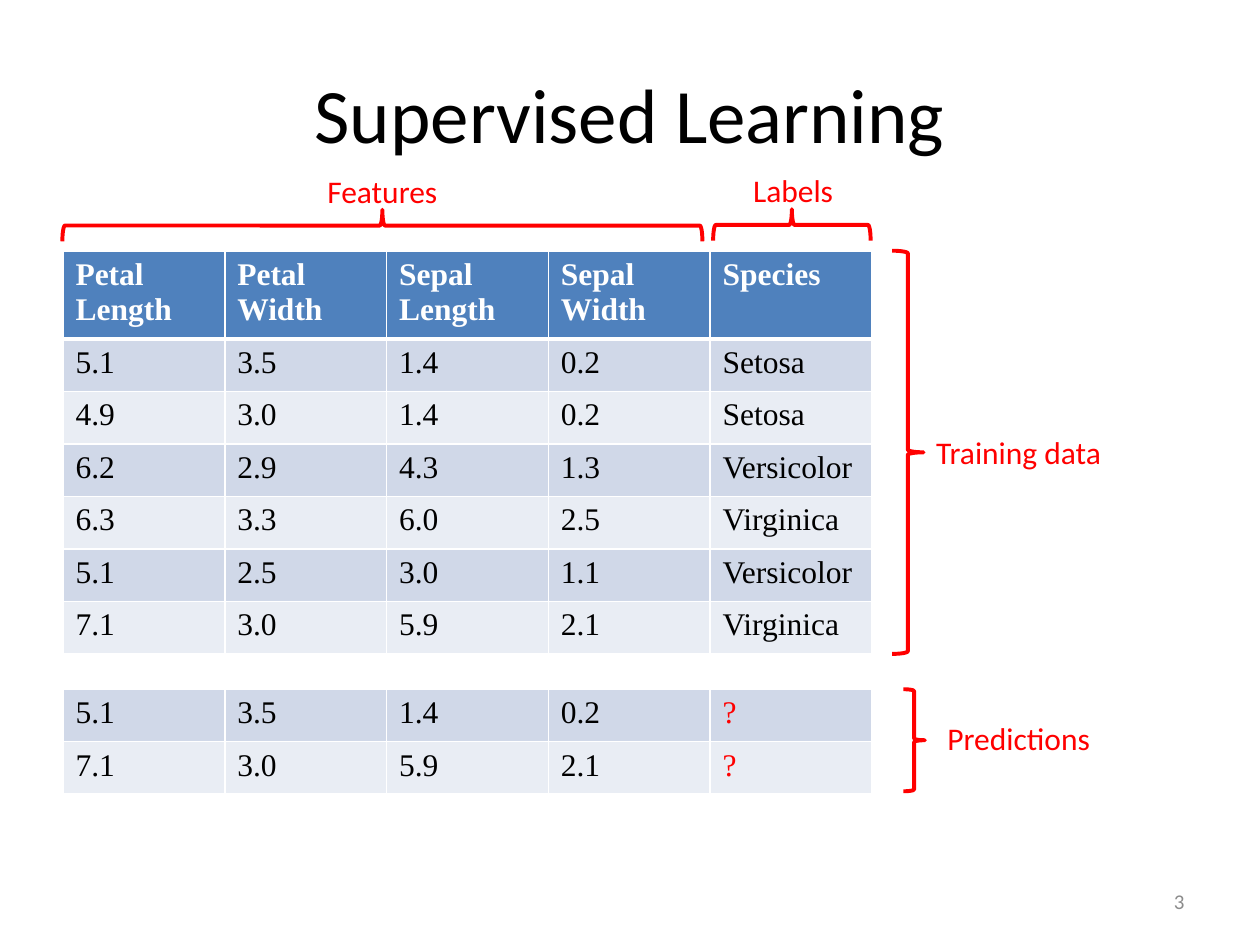
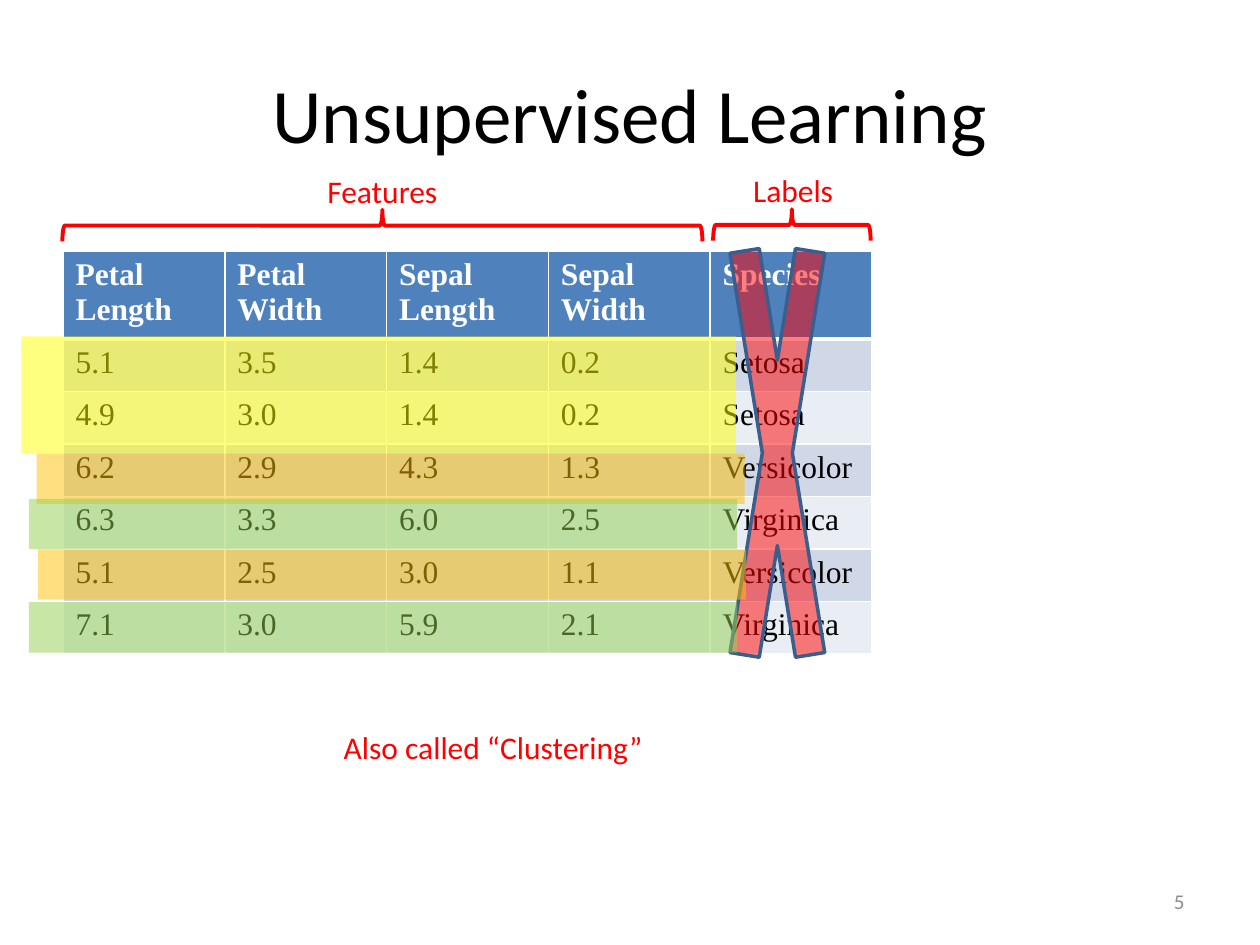
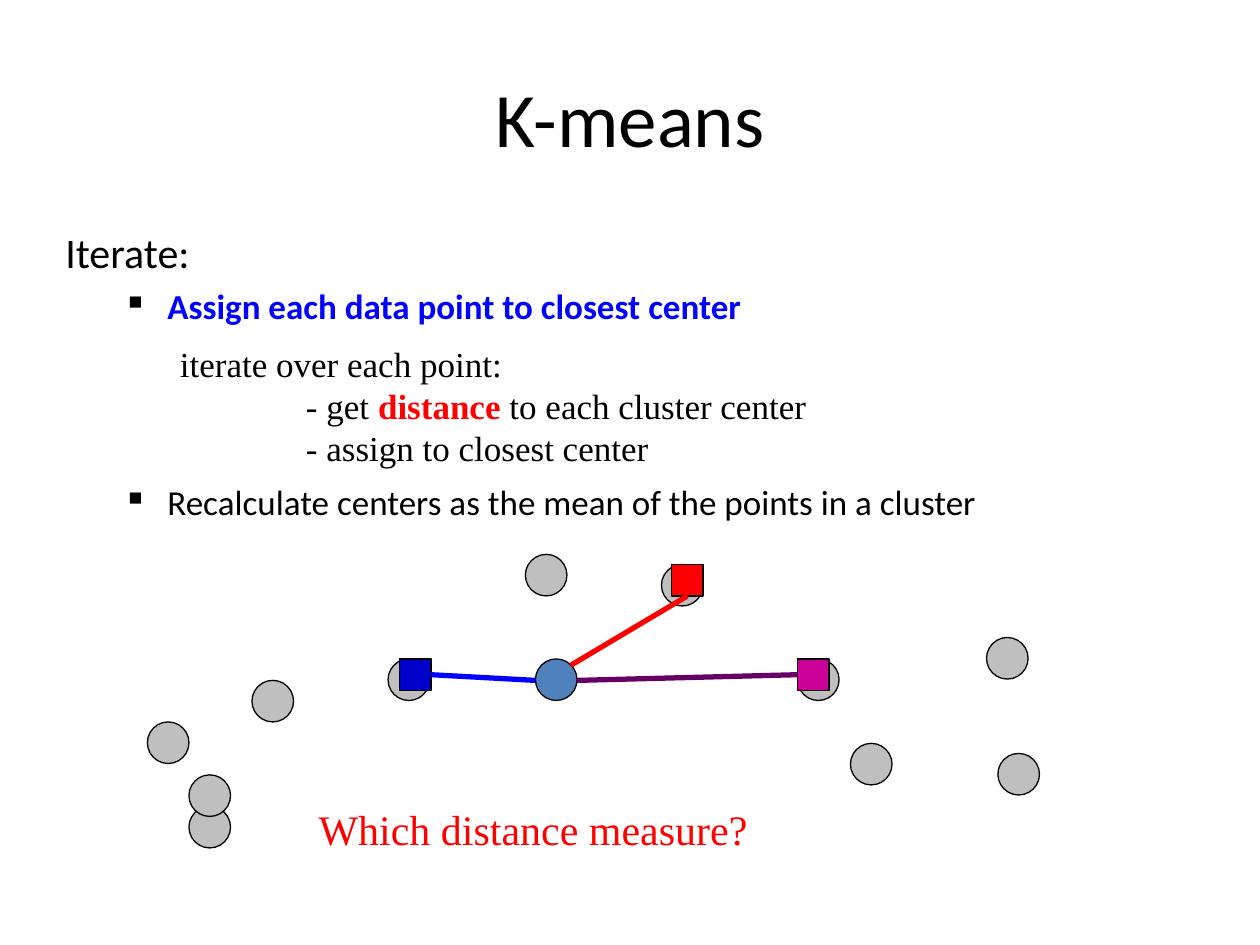
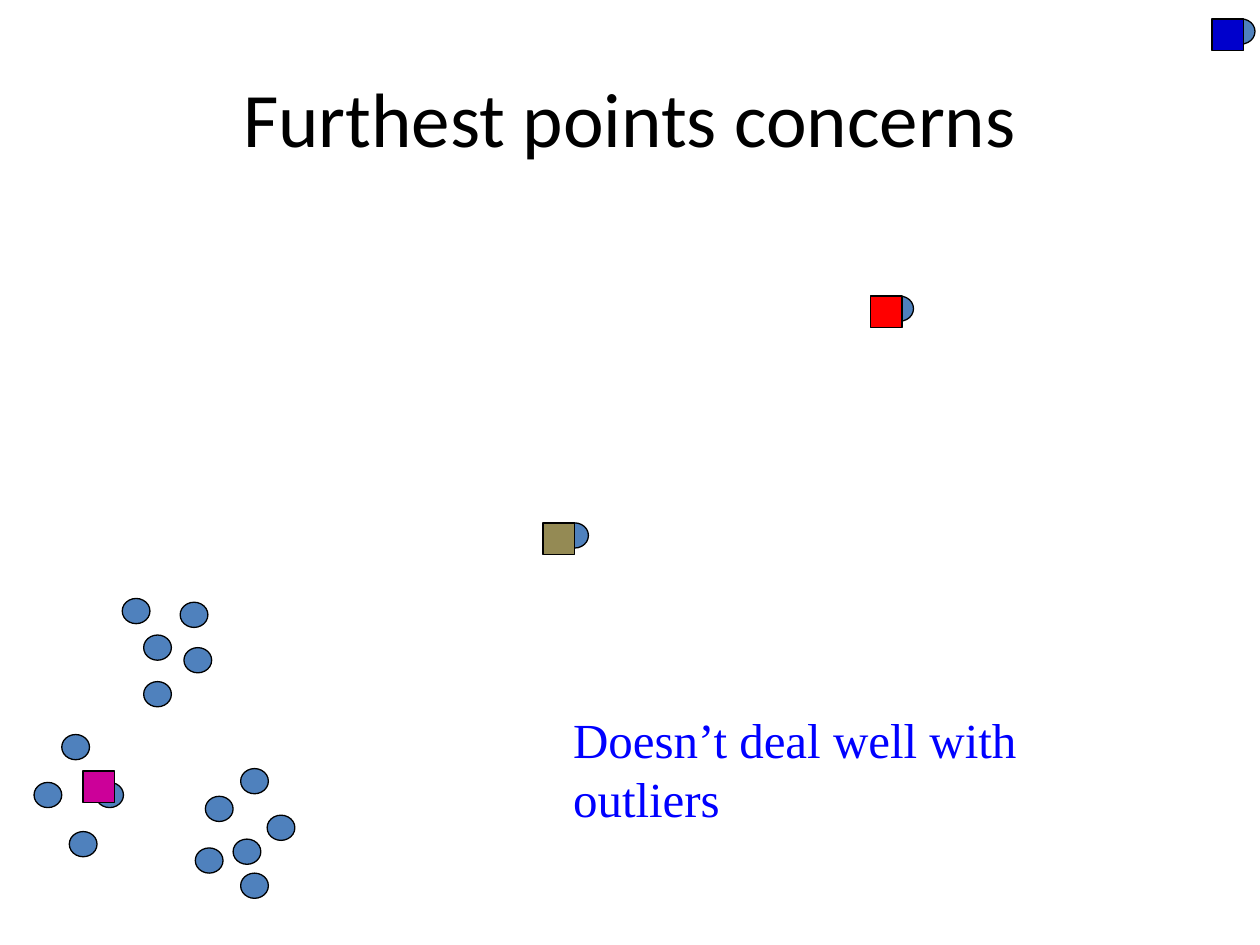
from lxml import etree
from pptx import Presentation
from pptx.dml.color import RGBColor
from pptx.enum.shapes import MSO_CONNECTOR, MSO_SHAPE
from pptx.enum.text import MSO_ANCHOR, PP_ALIGN
from pptx.oxml.ns import qn
from pptx.util import Inches, Pt

LEFT, CENTER, RIGHT = PP_ALIGN.LEFT, PP_ALIGN.CENTER, PP_ALIGN.RIGHT
TOP, MIDDLE = MSO_ANCHOR.TOP, MSO_ANCHOR.MIDDLE
RECT, OVAL = MSO_SHAPE.RECTANGLE, MSO_SHAPE.OVAL
BRACE, CROSS = MSO_SHAPE.RIGHT_BRACE, MSO_SHAPE.MATH_MULTIPLY
STRAIGHT = MSO_CONNECTOR.STRAIGHT

SANS, SERIF = "Calibri", "Times New Roman"
BLACK, WHITE, RED, BLUE = "000000", "FFFFFF", "FF0000", "0000FF"
ACCENT, GRAY, PAGE_GRAY = "4F81BD", "BFBFBF", "8C8C8C"
NAVY, MAGENTA, PURPLE, OLIVE = "0000CC", "CC0099", "660066", "948A54"
YELLOW, ORANGE, GREEN, CROSS_EDGE = "FFFF00", "FFC000", "92D050", "3A5F8C"
BANDS = ("D0D8E8", "E9EDF4")

HEADER = ["Petal Length", "Petal Width", "Sepal Length", "Sepal Width", "Species"]
TRAINING = [
    ["5.1", "3.5", "1.4", "0.2", "Setosa"],
    ["4.9", "3.0", "1.4", "0.2", "Setosa"],
    ["6.2", "2.9", "4.3", "1.3", "Versicolor"],
    ["6.3", "3.3", "6.0", "2.5", "Virginica"],
    ["5.1", "2.5", "3.0", "1.1", "Versicolor"],
    ["7.1", "3.0", "5.9", "2.1", "Virginica"],
]
UNLABELED = [
    ["5.1", "3.5", "1.4", "0.2", "?"],
    ["7.1", "3.0", "5.9", "2.1", "?"],
]
TABLE_LEFT, TABLE_TOP, TABLE_WIDTH = 0.5, 1.99, 6.42
ROW_HEIGHT = 5 / 12

COLUMN_BRACES = [
    ("Features", (2.12, 1.32), (2.91, -0.75, 0.25, 5.08)),
    ("Labels", (5.38, 1.31), (6.16, 1.16, 0.25, 1.25)),
]
ROW_BRACES = [
    ("Training data", (7.17, 3.39), (7.08, 1.99, 0.25, 3.2)),
    ("Predictions", (7.17, 5.66), (7.17, 5.47, 0.17, 0.81)),
]
CLUSTERS = [
    (YELLOW, [(0.17, 2.67, 5.67, 0.93)]),
    (ORANGE, [(0.29, 3.6, 5.62, 0.4), (0.3, 4.36, 5.62, 0.4)]),
    (GREEN, [(0.23, 3.96, 5.62, 0.4), (0.23, 4.78, 5.62, 0.4)]),
]

STEPS = [
    ("Assign each data point to closest center", BLUE, True, 4),
    ("Recalculate centers as the mean of the points in a cluster", BLACK, False, 88),
]
POINT_SIZE = (0.33, 0.33)
CURRENT_POINT = (4.25, 5.23)
POINTS = [
    (1.5, 6.4), (1.17, 5.73), (2, 5.4), (7.83, 5.06), (4.17, 4.4), (5.25, 4.48),
    CURRENT_POINT, (3.08, 5.23), (7.92, 5.98), (6.33, 5.23), (1.5, 6.15), (6.75, 5.9),
]
CENTER_SIZE = (0.25, 0.25)
CENTERS = [(3.17, 5.23, NAVY), (5.33, 4.48, RED), (6.33, 5.23, MAGENTA)]
DISTANCES = [
    (1, 2, (4.53, 5.28), RED),
    (2, 1, (4.58, 5.4), PURPLE),
    (0, 3, (4.25, 5.4), BLUE),
]

SMALL_POINT_SIZE = (0.22, 0.2)
SPREAD_POINTS = [
    (0.49, 5.83), (0.27, 6.21), (0.76, 6.21), (0.55, 6.6), (1.14, 5.04), (1.14, 5.41),
    (1.46, 5.14), (1.55, 6.73), (1.85, 6.66), (1.63, 6.32), (1.91, 6.1), (2.12, 6.47),
    (1.91, 6.93), (1.43, 4.78), (0.97, 4.75), (9.74, 0.15), (7.03, 2.35), (4.45, 4.15),
]
FURTHEST_CENTERS = [
    (9.62, 0.15, NAVY), (6.91, 2.35, RED), (0.66, 6.12, MAGENTA), (4.31, 4.15, OLIVE),
]


def rgb(color):
    return RGBColor.from_string(color)


def inches(values):
    return [Inches(value) for value in values]


def style(run, size, font, color, bold=False):
    run.font.size, run.font.name, run.font.bold = Pt(size), font, bold
    run.font.color.rgb = rgb(color)


def add_text(slide, text, box, size, font, color, align=LEFT, anchor=TOP, wrap=True):
    frame = slide.shapes.add_textbox(*inches(box)).text_frame
    frame.word_wrap, frame.vertical_anchor = wrap, anchor
    frame.text = text
    for paragraph in frame.paragraphs:
        paragraph.alignment = align
        for run in paragraph.runs:
            style(run, size, font, color)
    return frame


def add_shape(shapes, preset, box, fill=None, line=None, width=0.75, opacity=100):
    shape = shapes.add_shape(preset, *inches(box))
    shape.shadow.inherit = False
    if fill:
        shape.fill.solid()
        shape.fill.fore_color.rgb = rgb(fill)
        if opacity < 100:
            color = shape.fill._xPr.find(".//" + qn("a:srgbClr"))
            etree.SubElement(color, qn("a:alpha"), val=str(opacity * 1000))
    else:
        shape.fill.background()
    if line:
        shape.line.color.rgb = rgb(line)
        shape.line.width = Pt(width)
    else:
        shape.line.fill.background()
    return shape


def add_dots(slide, spots, size, color_of):
    for spot in spots:
        add_shape(slide.shapes, OVAL, spot + size, color_of(spot), BLACK)


def add_centers(slide, centers):
    return [add_shape(slide.shapes, RECT, (x, y) + CENTER_SIZE, color, BLACK)
            for x, y, color in centers]


def add_slide(deck, title, title_top, page=None):
    slide = deck.slides.add_slide(deck.slide_layouts[6])
    add_text(slide, title, (0.5, title_top, 9, 1.25), 44, SANS, BLACK, CENTER, MIDDLE)
    if page:
        add_text(slide, page, (7.17, 6.95, 2.33, 0.4), 12, SANS, PAGE_GRAY, RIGHT, MIDDLE)
    return slide


def add_label(slide, text, left, top, width=1.83):
    add_text(slide, text, (left, top, width, 0.4), 18, SANS, RED, CENTER)


def add_brace(slide, text, label_at, box, rotation=0):
    add_shape(slide.shapes, BRACE, box, line=RED, width=2.25).rotation = rotation
    add_label(slide, text, *label_at)


def set_borders(cell, bottom):
    properties = cell._tc.get_or_add_tcPr()
    for index, (side, points) in enumerate(
            [("lnL", 1), ("lnR", 1), ("lnT", 1), ("lnB", bottom)]):
        border = etree.Element(qn("a:" + side), w=str(Pt(points)))
        fill = etree.SubElement(border, qn("a:solidFill"))
        etree.SubElement(fill, qn("a:srgbClr"), val=WHITE)
        properties.insert(index, border)


def add_flower_table(slide, top, height, rows, header=None):
    lines = ([header] if header else []) + rows
    box = inches((TABLE_LEFT, top, TABLE_WIDTH, height))
    frame = slide.shapes.add_table(len(lines), len(lines[0]), *box)
    table = frame.table
    table.first_row = bool(header)
    for row_index, values in enumerate(lines):
        is_header = values is header
        band = BANDS[(row_index - bool(header)) % 2]
        table.rows[row_index].height = Inches(ROW_HEIGHT)
        for column, value in enumerate(values):
            cell = table.cell(row_index, column)
            cell.text = value
            color = WHITE if is_header else RED if value == "?" else BLACK
            style(cell.text_frame.paragraphs[0].runs[0], 18, SERIF, color, is_header)
            cell.fill.solid()
            cell.fill.fore_color.rgb = rgb(ACCENT if is_header else band)
            set_borders(cell, 3 if is_header else 1)
    frame.height = Inches(height)


def add_training_data(slide):
    add_flower_table(slide, TABLE_TOP, 3.2, TRAINING, HEADER)
    for text, label_at, box in COLUMN_BRACES:
        add_brace(slide, text, label_at, box, 270)


def add_bullet(paragraph):
    properties = paragraph._p.get_or_add_pPr()
    properties.set("marL", str(Inches(0.81)))
    properties.set("indent", str(Inches(-0.31)))
    color = etree.SubElement(properties, qn("a:buClr"))
    etree.SubElement(color, qn("a:srgbClr"), val=BLACK)
    etree.SubElement(properties, qn("a:buSzPct"), val="55000")
    etree.SubElement(properties, qn("a:buChar"), char="■")


def add_distance(slide, center, side, start, color):
    line = slide.shapes.add_connector(STRAIGHT, *inches(start + start))
    line.end_connect(center, side)
    line.line.color.rgb = rgb(color)
    line.line.width = Pt(3)
    etree.SubElement(line._element.spPr, qn("a:effectLst"))


def build_supervised(deck):
    slide = add_slide(deck, "Supervised Learning", 0.27, "3")
    add_training_data(slide)
    add_flower_table(slide, 5.47, 0.83, UNLABELED)
    for text, label_at, box in ROW_BRACES:
        add_brace(slide, text, label_at, box)


def build_unsupervised(deck):
    slide = add_slide(deck, "Unsupervised Learning", 0.27, "5")
    add_training_data(slide)
    add_shape(slide.shapes, CROSS, (5.67, 0.51, 1, 6.17), RED, CROSS_EDGE, 2, 50)
    for color, boxes in CLUSTERS:
        shapes = slide.shapes
        if len(boxes) > 1:
            shapes = shapes.add_group_shape().shapes
        for box in boxes:
            add_shape(shapes, RECT, box, color, opacity=50)
    add_label(slide, "Also called “Clustering”", 2.33, 5.73, 3.17)


def build_k_means(deck):
    slide = add_slide(deck, "K-means", 0.3)
    body = add_text(slide, "Iterate:", (0.42, 1.75, 8.92, 2.67), 24, SANS, BLACK)
    body.paragraphs[0].space_before = Pt(4.8)
    for text, color, bold, gap in STEPS:
        step = body.add_paragraph()
        step.text = text
        step.level = 1
        step.space_before = Pt(gap)
        style(step.runs[0], 20, SANS, color, bold)
        add_bullet(step)

    loop = add_text(slide, "iterate over each point:\n- get \n- assign to closest center",
                    (1.33, 2.67, 5.21, 1.11), 20, SERIF, BLACK, wrap=False)
    for action in loop.paragraphs[1:]:
        action._p.get_or_add_pPr().set("marL", str(Inches(1)))
    for text, color, bold in [("distance", RED, True), (" to each cluster center", BLACK, False)]:
        run = loop.paragraphs[1].add_run()
        run.text = text
        style(run, 20, SERIF, color, bold)

    add_dots(slide, POINTS, POINT_SIZE,
             lambda spot: ACCENT if spot == CURRENT_POINT else GRAY)
    centers = add_centers(slide, CENTERS)
    for index, side, start, color in DISTANCES:
        add_distance(slide, centers[index], side, start, color)
    add_text(slide, "Which distance measure?", (2.43, 6.33, 3.64, 0.5),
             24, SERIF, RED, wrap=False)


def build_furthest_points(deck):
    slide = add_slide(deck, "Furthest points concerns", 0.3)
    add_dots(slide, SPREAD_POINTS, SMALL_POINT_SIZE, lambda spot: ACCENT)
    add_text(slide, "Doesn’t deal well with outliers", (4.45, 5.58, 4.82, 0.57),
             28, SERIF, BLUE)
    add_centers(slide, FURTHEST_CENTERS)


def main():
    deck = Presentation()
    deck.slide_width, deck.slide_height = Inches(10), Inches(7.5)
    for build in (build_supervised, build_unsupervised, build_k_means, build_furthest_points):
        build(deck)
    deck.save("out.pptx")


if __name__ == "__main__":
    main()
